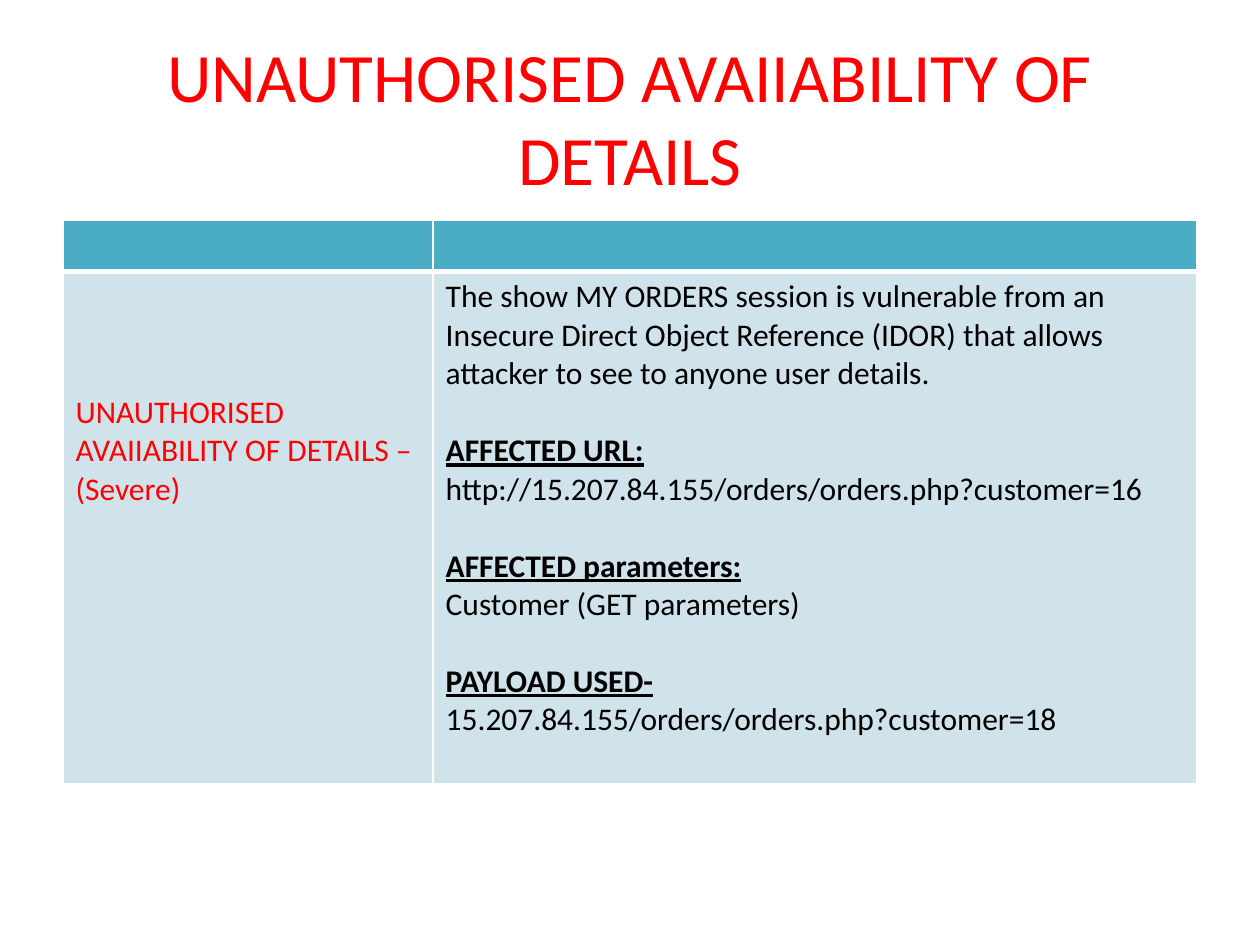
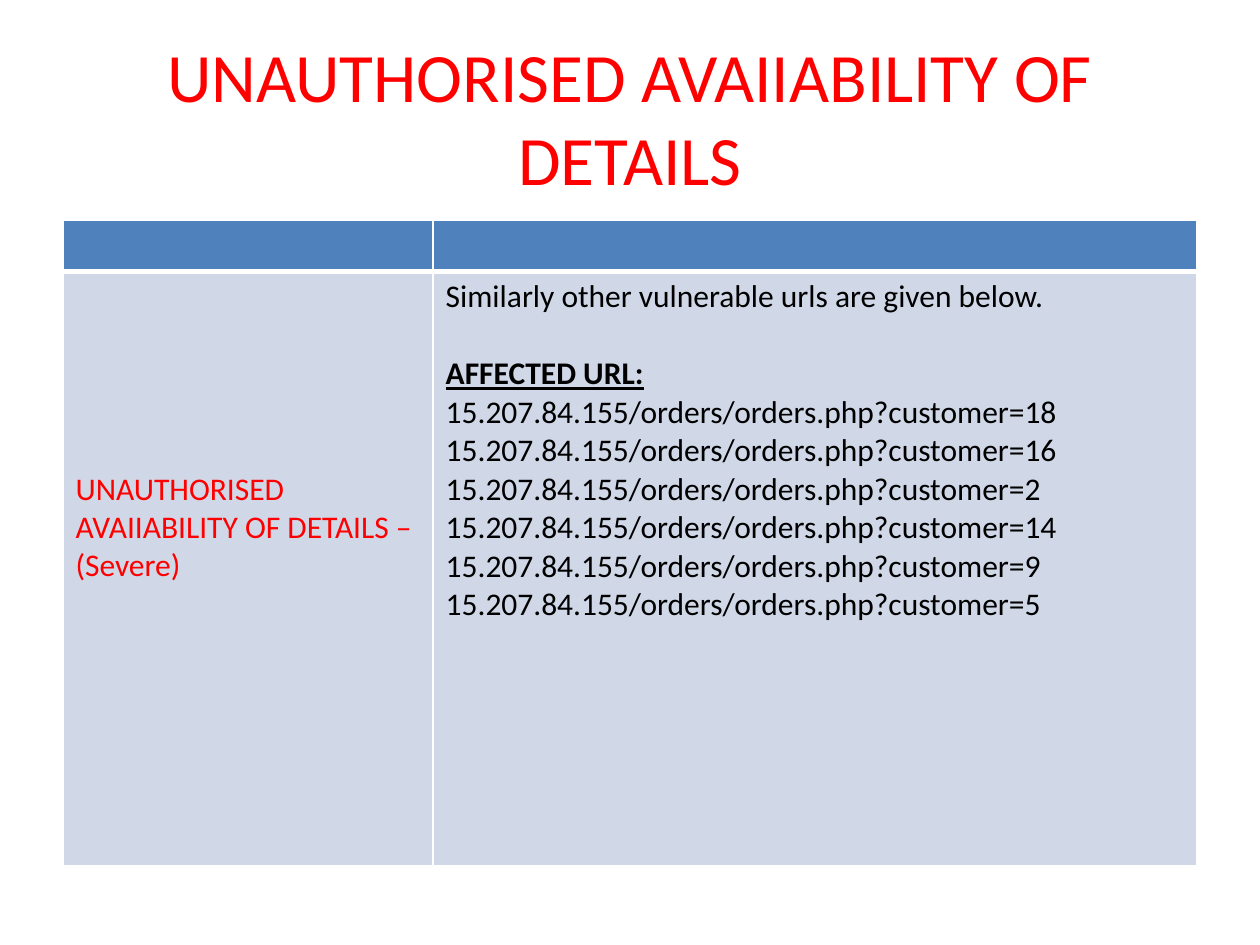
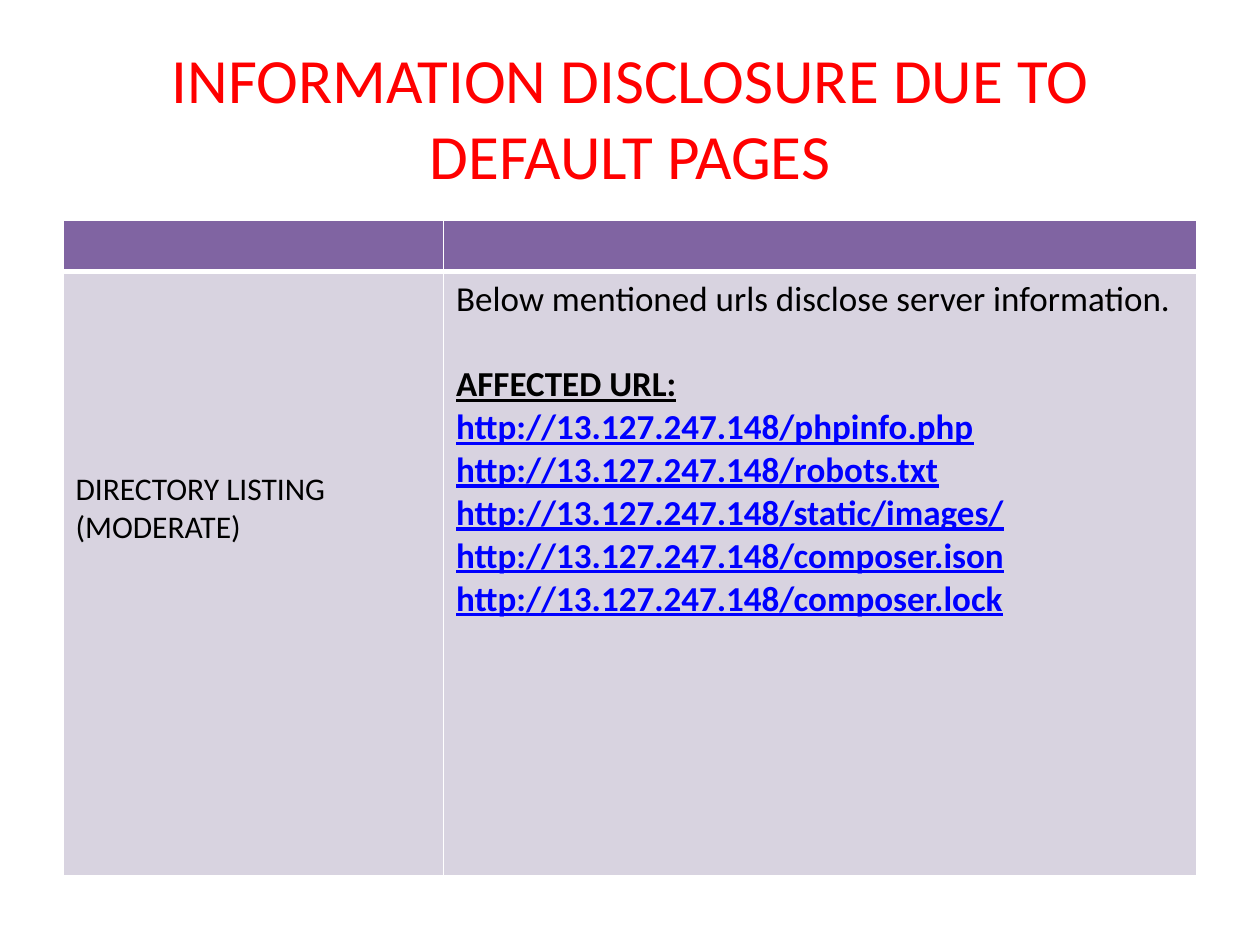
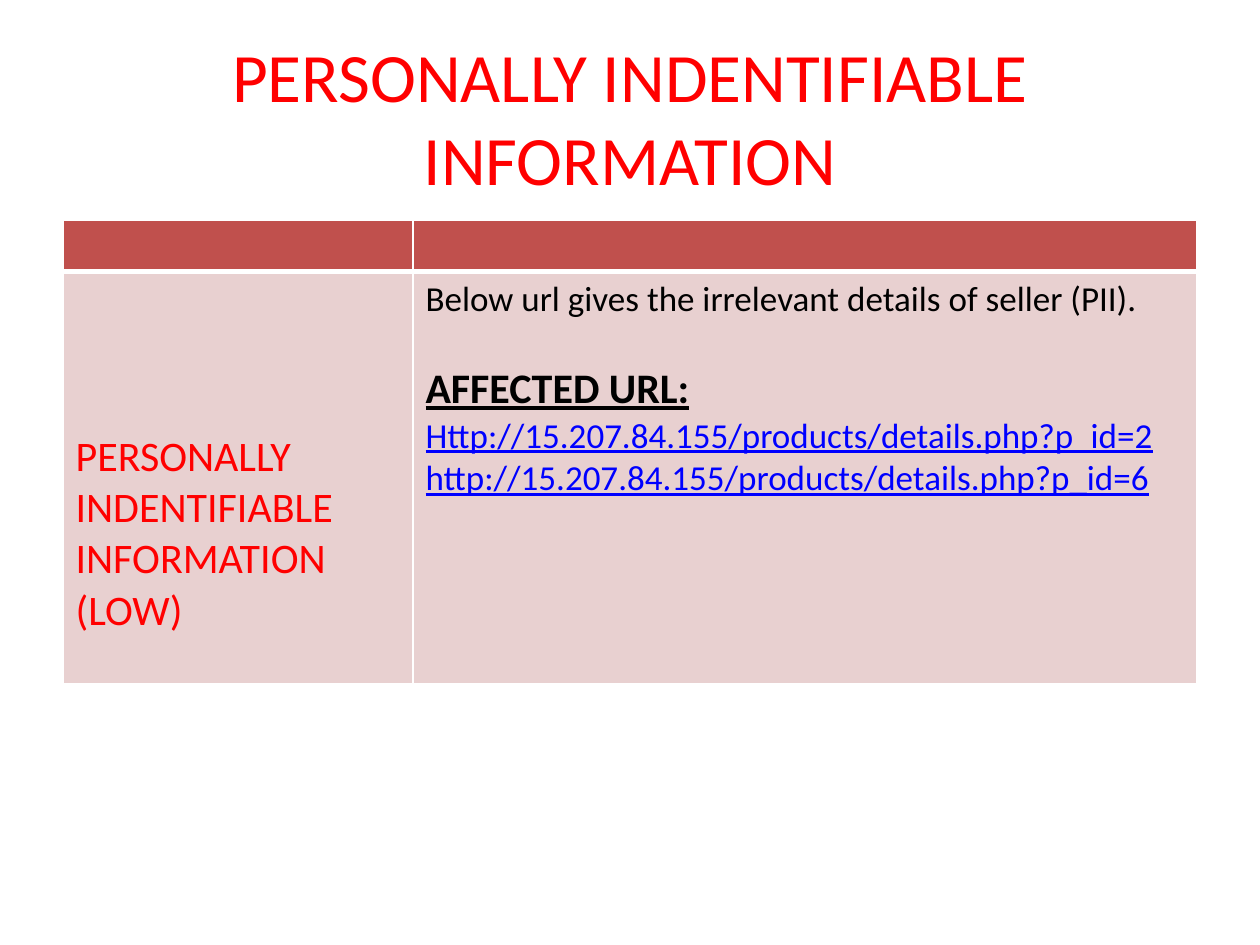
"""Build the four security finding slides."""
from dataclasses import dataclass

from lxml import etree
from pptx import Presentation
from pptx.dml.color import RGBColor
from pptx.enum import text
from pptx.oxml import ns
from pptx.util import Pt


@dataclass(frozen=True)
class Theme:
    """Colours, type sizes and measures shared by all slides, in points."""
    font: str = "Calibri"
    red: str = "FF0000"
    black: str = "000000"
    blue: str = "0000FF"
    white: str = "FFFFFF"
    body_size: float = 18
    title_size: float = 39.6
    line_ratio: float = 1.22
    cell_margin: float = 3.6
    header_height: float = 29
    slide_size: tuple = (720, 540)
    title_box: tuple = (36, 21.6, 648, 90)
    table_box: tuple = (36, 126, 648)


@dataclass(frozen=True)
class Finding:
    """Content and measures of one finding slide."""
    title: str
    label: str
    lines: tuple
    header_fill: str
    body_fill: str
    label_width: float
    body_height: float
    label_drop: int
    title_size: float = 39.6
    label_size: float = 18
    label_color: str = "FF0000"
    detail_size: float = 18
    heading_size: float = 18


THEME = Theme()
UNAUTHORISED = "UNAUTHORISED AVAIIABILITY OF DETAILS"
PII = "PERSONALLY INDENTIFIABLE INFORMATION"
ORDERS = "15.207.84.155/orders/orders.php?customer="
SERVER = "http://13.127.247.148/"
PRODUCT = "://15.207.84.155/products/details.php?p_id="
AFFECTED = ("heading", "AFFECTED URL:")

FINDINGS = (
    Finding(
        UNAUTHORISED, f"{UNAUTHORISED} – (Severe)",
        (("plain", "The show MY ORDERS session is vulnerable from an Insecure Direct "
                   "Object Reference (IDOR) that allows attacker to see to anyone "
                   "user details."),
         AFFECTED,
         ("plain", f"http://{ORDERS}16"),
         ("heading", "AFFECTED parameters:"),
         ("plain", "Customer (GET parameters)"),
         ("heading", "PAYLOAD USED-"),
         ("plain", f"{ORDERS}18")),
        "4BACC6", "D0E3EA", label_width=211.5, body_height=292.5, label_drop=3),
    Finding(
        UNAUTHORISED, f"{UNAUTHORISED} – (Severe)",
        (("plain", "Similarly other vulnerable urls are given below."),
         AFFECTED,
         *(("plain", f"{ORDERS}{customer}") for customer in (18, 16, 2, 14, 9, 5))),
        "4F81BD", "D0D8E8", label_width=211.5, body_height=339.5, label_drop=5),
    Finding(
        "INFORMATION DISCLOSURE DUE TO DEFAULT PAGES", "DIRECTORY LISTING (MODERATE)",
        (("plain", "Below mentioned urls disclose server information."),
         AFFECTED,
         *(("bold_link", f"{SERVER}{page}") for page in (
             "phpinfo.php", "robots.txt", "static/images/", "composer.ison",
             "composer.lock"))),
        "8064A2", "D8D3E0", label_width=217.5, body_height=345.5, label_drop=5,
        title_size=36, label_color=THEME.black, detail_size=20, heading_size=20),
    Finding(
        PII, f"{PII} (LOW)",
        (("plain", "Below url gives the irrelevant details of seller (PII)."),
         AFFECTED,
         ("link", f"Http{PRODUCT}2"),
         ("link", f"http{PRODUCT}6")),
        "C0504D", "E8D0D0", label_width=200, body_height=235.5, label_drop=4,
        label_size=24, detail_size=20, heading_size=24),
)


def format_runs(paragraph, size, color, bold=False, underline=False):
    """Apply one character style to every run of a paragraph."""
    for run in paragraph.runs:
        run.font.name = THEME.font
        run.font.size = Pt(size)
        run.font.color.rgb = RGBColor.from_string(color)
        run.font.bold = bold
        run.font.underline = underline


def style_cell(cell, fill, bottom_width):
    """Give a cell white borders, a solid fill and even margins."""
    properties = cell._tc.get_or_add_tcPr()
    for side, width in (("L", 1), ("R", 1), ("T", 1), ("B", bottom_width)):
        line = etree.SubElement(properties, ns.qn(f"a:ln{side}"), w=str(Pt(width)))
        solid = etree.SubElement(line, ns.qn("a:solidFill"))
        etree.SubElement(solid, ns.qn("a:srgbClr"), val=THEME.white)
    cell.fill.solid()
    cell.fill.fore_color.rgb = RGBColor.from_string(fill)
    cell.margin_top = cell.margin_bottom = Pt(THEME.cell_margin)


def place_title(slide, finding, box):
    """Move the title placeholder to its box and format it."""
    title = slide.shapes.title
    title.left, title.top, title.width, title.height = map(Pt, box)
    frame = title.text_frame
    frame.text = finding.title
    frame.word_wrap = True
    frame.auto_size = text.MSO_AUTO_SIZE.NONE
    frame.vertical_anchor = text.MSO_ANCHOR.MIDDLE
    paragraph = frame.paragraphs[0]
    paragraph.alignment = text.PP_ALIGN.CENTER
    format_runs(paragraph, finding.title_size, THEME.red)


def fill_label(cell, finding):
    """Write the finding's name, dropped by a number of body lines."""
    cell.text_frame.text = finding.label
    drop = finding.label_drop * THEME.body_size * THEME.line_ratio
    cell.margin_top = Pt(round(THEME.cell_margin + drop, 2))
    format_runs(cell.text_frame.paragraphs[0], finding.label_size, finding.label_color)


def fill_details(cell, finding):
    """Write the detail lines, with a line of space above each heading."""
    frame = cell.text_frame
    frame.text = "\n".join(line for _, line in finding.lines)
    for paragraph, (kind, _) in zip(frame.paragraphs, finding.lines):
        heading = kind == "heading"
        if heading:
            paragraph.space_before = Pt(round(finding.detail_size * THEME.line_ratio, 2))
        format_runs(
            paragraph,
            finding.heading_size if heading else finding.detail_size,
            THEME.blue if kind.endswith("link") else THEME.black,
            bold=kind in ("heading", "bold_link"),
            underline=kind != "plain")


def place_table(slide, finding, box):
    """Add the finding table at the given left, top and width."""
    left, top, width = box
    height = THEME.header_height + finding.body_height
    table = slide.shapes.add_table(2, 2, Pt(left), Pt(top), Pt(width), Pt(height)).table
    table.horz_banding = False
    for column, size in zip(table.columns, (finding.label_width, width - finding.label_width)):
        column.width = Pt(size)
    for row, size in zip(table.rows, (THEME.header_height, finding.body_height)):
        row.height = Pt(size)
    for column in range(2):
        header = table.cell(0, column)
        style_cell(header, finding.header_fill, 3)
        header.text_frame.paragraphs[0].font.size = Pt(THEME.body_size)
        style_cell(table.cell(1, column), finding.body_fill, 1)
    fill_label(table.cell(1, 0), finding)
    fill_details(table.cell(1, 1), finding)


def main():
    """Create the presentation and save it."""
    presentation = Presentation()
    presentation.slide_width, presentation.slide_height = map(Pt, THEME.slide_size)
    title_only = presentation.slide_layouts[5]
    for finding in FINDINGS:
        slide = presentation.slides.add_slide(title_only)
        place_title(slide, finding, THEME.title_box)
        place_table(slide, finding, THEME.table_box)
    presentation.save("out.pptx")


if __name__ == "__main__":
    main()
